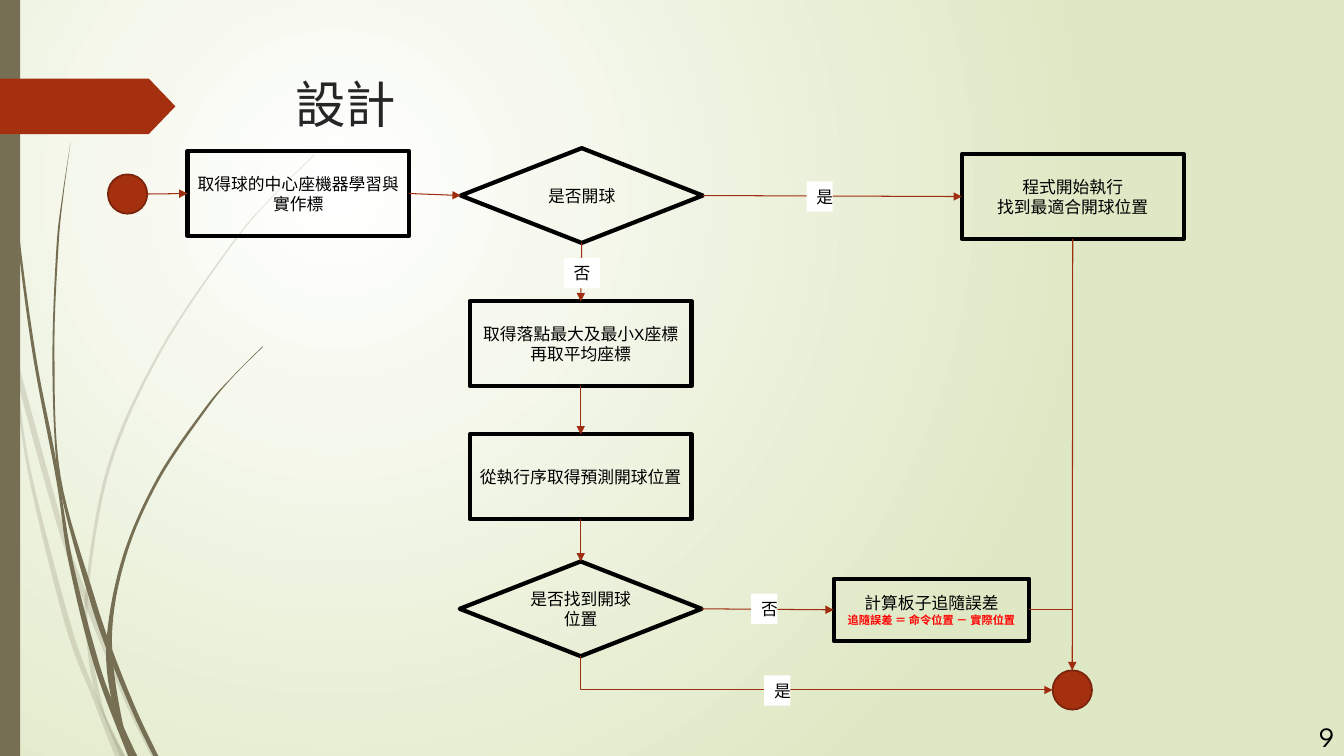
from pptx import Presentation
from pptx.dml.color import RGBColor
from pptx.enum.shapes import MSO_CONNECTOR, MSO_SHAPE
from pptx.enum.text import MSO_ANCHOR, MSO_AUTO_SIZE, PP_ALIGN
from pptx.oxml import parse_xml
from pptx.oxml.ns import nsdecls, qn
from pptx.util import Inches, Pt

FONT = "League Spartan"
BLACK = RGBColor(0, 0, 0)
WHITE = RGBColor(255, 255, 255)
INK = RGBColor(0x26, 0x26, 0x26)
RED = RGBColor(255, 0, 0)
RUST = RGBColor(0xA5, 0x30, 0x10)
DARK = RGBColor(0x7A, 0x24, 0x0C)
WIRE = RGBColor(0x9E, 0x2E, 0x0F)
OLIVE = RGBColor(0x76, 0x6F, 0x54)
LIME = RGBColor(0xDF, 0xE8, 0xC4)


def style(shape, fill=None, line=None, width=0):
    """Set fill and line of a shape and drop its shadow."""
    shape.shadow.inherit = False
    if fill is None:
        shape.fill.background()
    else:
        shape.fill.solid()
        shape.fill.fore_color.rgb = fill
    if line is None:
        shape.line.fill.background()
    else:
        shape.line.color.rgb = line
        shape.line.width = Pt(width)


def write(frame, rows, align, anchor):
    """Write rows of (text, size, colour, bold), one paragraph each."""
    frame.word_wrap = True
    frame.vertical_anchor = anchor
    for i, (text, size, color, bold) in enumerate(rows):
        para = frame.paragraphs[0] if i == 0 else frame.add_paragraph()
        para.alignment = align
        run = para.add_run()
        run.text = text
        run.font.name = FONT
        run.font.size = Pt(size)
        run.font.color.rgb = color
        run.font.bold = bold


deck = Presentation()
deck.slide_width, deck.slide_height = Inches(13.33), Inches(7.5)
slide = deck.slides.add_slide(deck.slide_layouts[5])
shapes = slide.shapes

# Background: round gradient
fill = slide.background.fill
fill.gradient()
for stop, color, place in zip(fill.gradient_stops, (WHITE, LIME), (0, 1)):
    stop.color.rgb = color
    stop.position = place
grad = slide.element.find(".//" + qn("a:gradFill"))
grad.replace(grad.find(qn("a:lin")), parse_xml(
    f'<a:path {nsdecls("a")} path="circle"><a:fillToRect l="50000" t="50000" '
    'r="100000" b="100000"/></a:path>'))

# Grass blades: opacity in percent, left edge, right edge
blades = [
    (20, [(0, 2.99), (.11, 3.5), (.28, 4.7), (.65, 6.21), (.92, 6.93), (1.14, 7.5)],
     [(0, 2.82), (.09, 3.22), (.17, 3.76), (.31, 4.69), (.7, 6.19), (.93, 6.83),
      (1.05, 7.11), (1.24, 7.5)]),
    (20, [(.14, 3.45), (.17, 3.76), (.57, 5.22), (.84, 5.99), (1.23, 6.94), (1.5, 7.5)],
     [(.14, 3.45), (.62, 5.2), (.85, 5.86), (1.27, 6.92), (1.55, 7.5)]),
    (20, [(3.12, 1.53), (2.68, 1.97), (2.28, 2.44), (1.58, 3.48), (1.07, 4.61),
          (.85, 5.84), (.87, 6.46), (.96, 6.92), (1.19, 7.5)],
     [(3.12, 1.54), (2.68, 1.98), (2.29, 2.45), (1.6, 3.49), (1.1, 4.62),
      (.88, 5.84), (.91, 6.46), (1.05, 7.11), (1.24, 7.5)]),
    (100, [(.03, 0), (.07, 1.1), (.17, 2.33), (.33, 3.55), (.56, 4.77), (.68, 5.57),
           (.93, 6.59), (1.27, 7.5)],
     [(.04, 0), (.08, 1.09), (.19, 2.32), (.36, 3.55), (.55, 4.53), (.72, 5.56),
      (.98, 6.57), (1.16, 7.06), (1.36, 7.5)]),
    (100, [(.7, 1.41), (.62, 1.93), (.56, 2.45), (.52, 3.49), (.55, 4.49), (.64, 5.05),
           (.88, 5.92), (1.06, 6.45), (1.32, 7.08), (1.52, 7.5)],
     [(.7, 1.41), (.63, 1.93), (.58, 2.45), (.54, 3.49), (.6, 4.72), (.93, 5.9),
      (1.13, 6.49), (1.36, 7.06), (1.57, 7.5)]),
    (100, [(2.6, 3.44), (2.31, 3.73), (2.03, 4.05), (1.56, 4.74), (1.22, 5.51),
           (1.06, 6.31), (1.1, 6.91), (1.3, 7.5)],
     [(2.61, 3.44), (2.31, 3.74), (2.05, 4.06), (1.58, 4.76), (1.25, 5.52),
      (1.11, 6.33), (1.22, 7.19), (1.36, 7.5)]),
]
STEPS = 8
for alpha, left, right in blades:
    points = []
    for edge in (left, right[::-1]):
        # Catmull-Rom curve through the edge
        ends = [edge[0], *edge, edge[-1]]
        for a, b, c, d in zip(ends, ends[1:], ends[2:], ends[3:]):
            for t in (k / STEPS for k in range(STEPS)):
                points.append([Inches(
                    q + (r - p) * t / 2 + (2 * p - 5 * q + 4 * r - s) * t ** 2 / 2
                    + (3 * q - p - 3 * r + s) * t ** 3 / 2)
                    for p, q, r, s in zip(a, b, c, d)])
        points.append([Inches(v) for v in edge[-1]])
    pen = shapes.build_freeform(*points[0])
    pen.add_line_segments(points[1:], close=True)
    blade = pen.convert_to_shape()
    style(blade, OLIVE)
    if alpha < 100:
        tone = blade.element.spPr.find(qn("a:solidFill"))[0]
        tone.append(parse_xml(f'<a:alpha {nsdecls("a")} val="{alpha * 1000}"/>'))

# Side bar and tab
bar = shapes.add_shape(MSO_SHAPE.RECTANGLE, 0, 0, Inches(.2), Inches(7.5))
style(bar, OLIVE)
tab = shapes.add_shape(MSO_SHAPE.PENTAGON, 0, Inches(.78), Inches(1.74), Inches(.55))
tab.adjustments[0] = .48
style(tab, RUST)

# Title and page number
title = shapes.title
title.left, title.top = Inches(2.83), Inches(.68)
title.width, title.height = Inches(9.74), Inches(.7)
write(title.text_frame, [("設計", 36, INK, False)], PP_ALIGN.LEFT, MSO_ANCHOR.TOP)
title.text_frame.auto_size = MSO_AUTO_SIZE.NONE
page = shapes.add_textbox(Inches(12.48), Inches(7.1), Inches(.85), Inches(.4))
write(page.text_frame, [("9", 20, BLACK, False)], PP_ALIGN.RIGHT, MSO_ANCHOR.MIDDLE)

# Flow chart nodes
BOX, ASK, DOT = MSO_SHAPE.RECTANGLE, MSO_SHAPE.DIAMOND, MSO_SHAPE.OVAL
sizes = {BOX: (2.2, .84), ASK: (2.4, .94), DOT: (.39, .39)}
nodes = {}
for name, kind, x, y, lines in [
    ("start", DOT, 1.07, 1.73, []),
    ("learn", BOX, 1.86, 1.5, ["取得球的中心座機器學習與實作標"]),
    ("serve", ASK, 4.57, 1.47, ["是否開球"]),
    ("run", BOX, 9.54, 1.53, ["程式開始執行", "找到最適合開球位置"]),
    ("mean", BOX, 4.66, 2.99, ["取得落點最大及最小X座標", "再取平均座標"]),
    ("guess", BOX, 4.66, 4.31, ["從執行序取得預測開球位置"]),
    ("found", ASK, 4.56, 5.57, ["是否找到開球位置"]),
    ("error", BOX, 8.27, 5.74, ["計算板子追隨誤差", "追隨誤差 = 命令位置 - 實際位置"]),
    ("end", DOT, 10.44, 6.65, []),
]:
    wide, high = (1.94, .62) if name == "error" else sizes[kind]
    node = shapes.add_shape(kind, Inches(x), Inches(y), Inches(wide), Inches(high))
    if kind == DOT:
        style(node, RUST, DARK, 1.25)
    else:
        style(node, None, BLACK, 3)
    rows = [(text, 12, BLACK, False) for text in lines]
    if name == "error":
        rows[1] = (lines[1].replace("=", "＝").replace("-", "－"), 8, RED, True)
    write(node.text_frame, rows, PP_ALIGN.CENTER, MSO_ANCHOR.MIDDLE)
    nodes[name] = node

# Links: node and side at each end; None meets the line from run to end
TOP, LEFT, BASE, RIGHT = range(4)
offsets = {TOP: (.5, 0), LEFT: (0, .5), BASE: (.5, 1), RIGHT: (1, .5)}
for src, out, dst, side in [
    ("start", RIGHT, "learn", LEFT), ("learn", RIGHT, "serve", LEFT),
    ("serve", RIGHT, "run", LEFT), ("serve", BASE, "mean", TOP),
    ("mean", BASE, "guess", TOP), ("guess", BASE, "found", TOP),
    ("found", RIGHT, "error", LEFT), ("run", BASE, "end", TOP),
    ("found", BASE, "end", LEFT), ("error", RIGHT, None, None),
]:
    spots = []
    for name, site in ((src, out), (dst, side)):
        if name:
            node, (u, v) = nodes[name], offsets[site]
            spots += [int(node.left + u * node.width), int(node.top + v * node.height)]
        else:
            spots += [Inches(10.64), spots[1]]
    link = shapes.add_connector(MSO_CONNECTOR.STRAIGHT, *spots)
    if src != "start":
        link.begin_connect(nodes[src], out)
    if dst and dst != "end":
        link.end_connect(nodes[dst], side)
    link.line.color.rgb = WIRE
    link.line.width = Pt(.75)
    props = link.element.spPr
    if dst:
        props.find(qn("a:ln")).append(
            parse_xml(f'<a:tailEnd {nsdecls("a")} type="triangle"/>'))
    props.append(parse_xml(f'<a:effectLst {nsdecls("a")}/>'))
    if (src, dst) == ("found", "end"):
        # Down, then right: a turned and flipped two-part elbow
        props.find(qn("a:prstGeom")).set("prst", "bentConnector2")
        frame = props.find(qn("a:xfrm"))
        frame.set("rot", "16200000")
        frame.set("flipH", "1")
        wide, high = spots[2] - spots[0], spots[3] - spots[1]
        link.left = spots[0] + (wide - high) // 2
        link.top = spots[1] + (high - wide) // 2
        link.width, link.height = high, wide

# Branch labels
for text, x, y, wide in [("是", 8, 1.8, .26), ("否", 5.59, 2.56, .36),
                         ("是", 7.58, 6.7, .26), ("否", 7.45, 5.89, .26)]:
    label = shapes.add_shape(BOX, Inches(x), Inches(y), Inches(wide), Inches(.3))
    style(label, WHITE)
    write(label.text_frame, [(text, 12, BLACK, False)], PP_ALIGN.CENTER, MSO_ANCHOR.TOP)
    label.text_frame.auto_size = MSO_AUTO_SIZE.SHAPE_TO_FIT_TEXT

deck.save("out.pptx")
